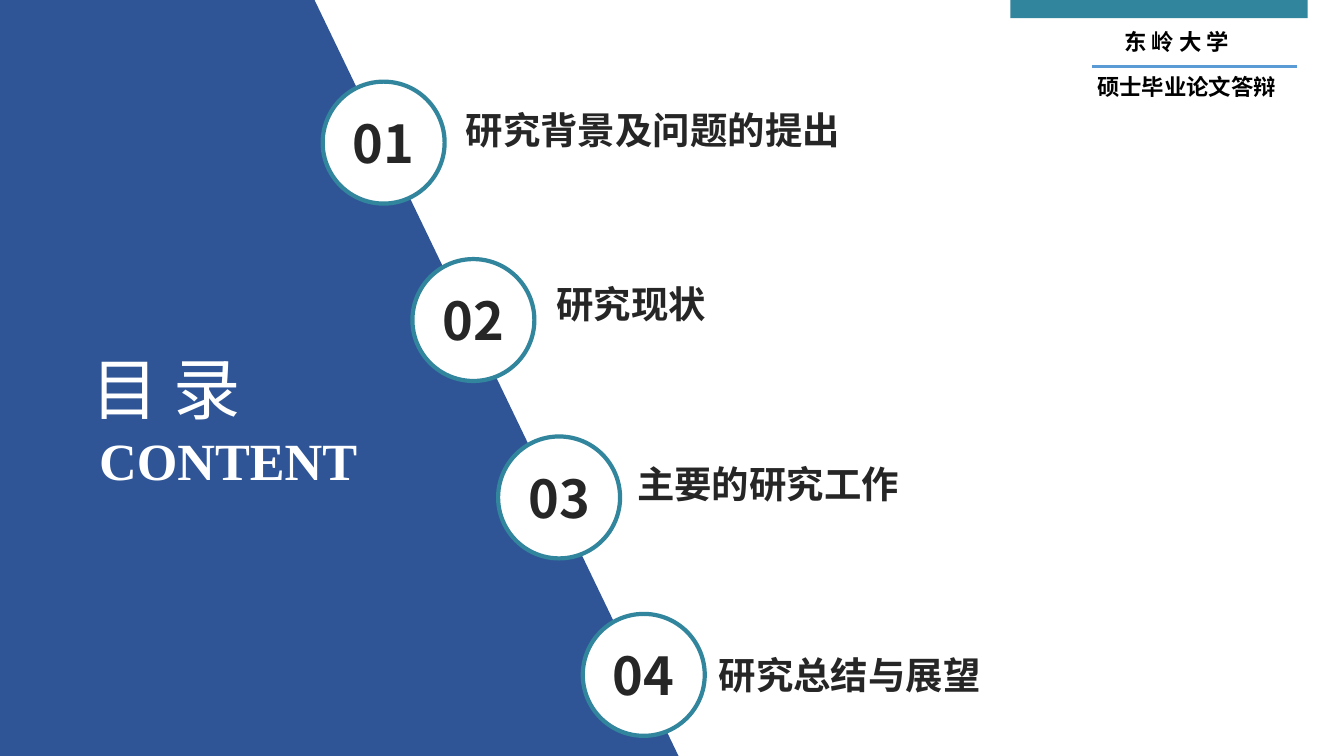
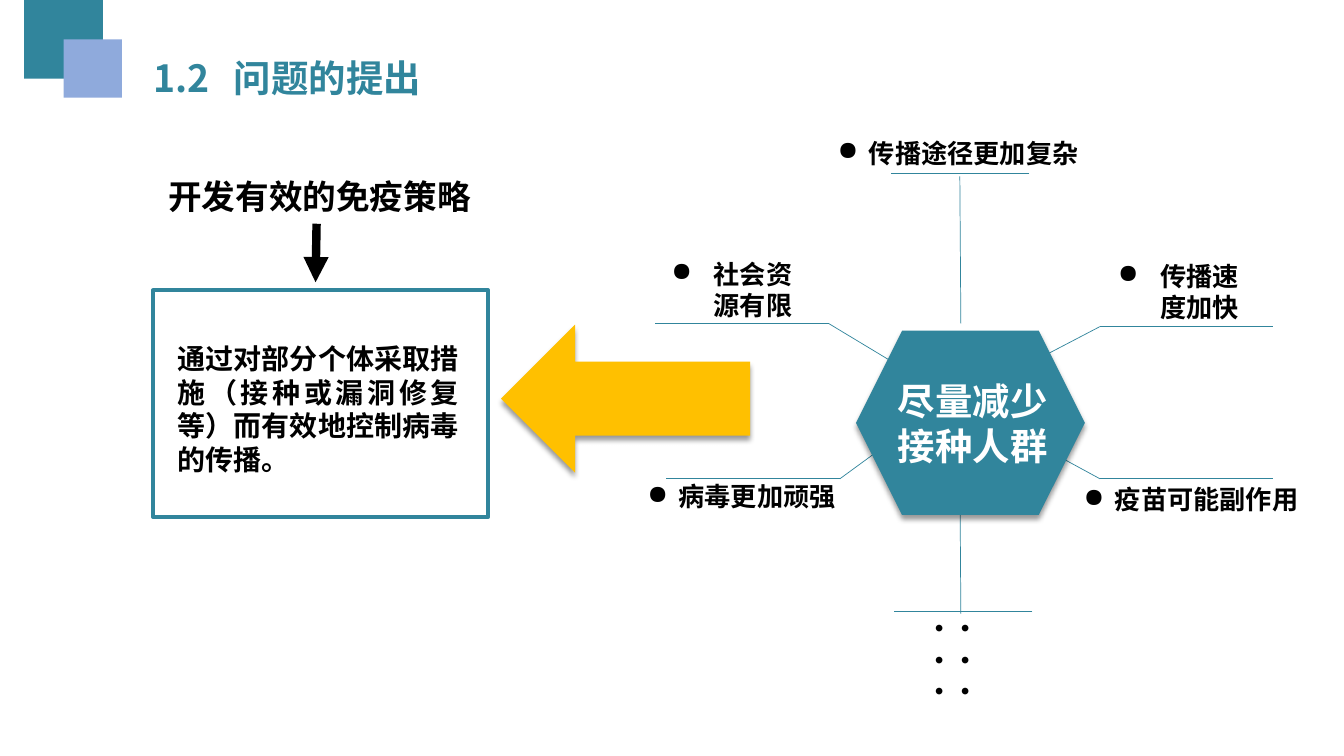
from itertools import pairwise
from lxml.etree import SubElement
from pptx import Presentation
from pptx.dml.color import RGBColor
from pptx.enum.shapes import MSO_CONNECTOR, MSO_SHAPE
from pptx.enum.text import MSO_ANCHOR, MSO_AUTO_SIZE, PP_ALIGN
from pptx.oxml.ns import qn
from pptx.shapes.connector import Connector
from pptx.util import Inches, Pt

TEAL, BLUE, SKY, PALE = "31859C", "2F5597", "5B9BD5", "8FAADC"
GOLD, DARK, BLACK, WHITE = "FFC000", "262626", "000000", "FFFFFF"
SANS, SERIF = "Noto Sans CJK SC", "Times New Roman"
HEAD = "Noto Sans CJK JP"


def write(shape, text, size, color=BLACK, font=SANS, bold=True,
          align=PP_ALIGN.LEFT, anchor=MSO_ANCHOR.TOP, wrap=True,
          pads=(0.1, 0.05, 0.1, 0.05), hang=0, tab=0):
    """Fill a shape with one paragraph; hang sets a bullet, tab a tab stop."""
    frame = shape.text_frame
    frame.word_wrap = wrap
    frame.auto_size = MSO_AUTO_SIZE.NONE
    frame.vertical_anchor = anchor
    (frame.margin_left, frame.margin_top,
     frame.margin_right, frame.margin_bottom) = map(Inches, pads)
    para = frame.paragraphs[0]
    para.alignment = align
    run = para.add_run()
    run.text = text
    run.font.size = Pt(size)
    run.font.bold = bold
    run.font.name = font
    run.font.color.rgb = RGBColor.from_string(color)
    SubElement(run._r.get_or_add_rPr(), qn("a:ea"), typeface=font)
    props = para._p.get_or_add_pPr()
    if hang:
        props.set("marL", str(Inches(hang)))
        props.set("indent", str(-Inches(hang)))
        SubElement(props, qn("a:buChar"), char="●")
    if tab:
        stops = SubElement(props, qn("a:tabLst"))
        SubElement(stops, qn("a:tab"), pos=str(Inches(tab)), algn="l")


def paint(shape, fill=None, line=None, width=1, shadow=False):
    """Set fill, line and shadow of a shape or connector."""
    if line:
        shape.line.color.rgb = RGBColor.from_string(line)
        shape.line.width = Pt(width)
    else:
        shape.line.fill.background()
    if isinstance(shape, Connector):
        SubElement(shape.element.spPr, qn("a:effectLst"))
        return
    if fill:
        shape.fill.solid()
        shape.fill.fore_color.rgb = RGBColor.from_string(fill)
    else:
        shape.fill.background()
    shape.shadow.inherit = False
    if shadow:
        effects = shape.element.spPr.find(qn("a:effectLst"))
        outer = SubElement(effects, qn("a:outerShdw"), blurRad=str(Pt(4)),
                           dist=str(Pt(3)), dir="5400000", rotWithShape="0")
        tint = SubElement(outer, qn("a:srgbClr"), val=BLACK)
        SubElement(tint, qn("a:alpha"), val="40000")


deck = Presentation()
deck.slide_width, deck.slide_height = Inches(13.33), Inches(7.5)
agenda, issue = [deck.slides.add_slide(deck.slide_layouts[5]) for _ in range(2)]

# Titles
for slide, text, box, style in [
    (agenda, "目 录", (0.81, 3.4, 1.75, 0.91),
     dict(size=48, color=WHITE, bold=False, wrap=False)),
    (issue, "1.2\t问题的提出", (1.42, 0.5, 2.94, 0.55),
     dict(size=26.7, color=TEAL, tab=0.8)),
]:
    title = slide.shapes.title
    title.left, title.top, title.width, title.height = map(Inches, box)
    write(title, text, **style)

# Agenda: slanted panel behind the title
shapes = agenda.shapes
outline = shapes.build_freeform(0, 0)
outline.add_line_segments(
    [(Inches(x), Inches(y)) for x, y in [(3.12, 0), (6.73, 7.5), (0, 7.5)]])
panel = outline.convert_to_shape()
paint(panel, BLUE)
shapes.element.insert(2, panel.element)
write(shapes.add_textbox(*map(Inches, (0.81, 4.2, 2.91, 0.73))), "CONTENT",
      37.3, WHITE, SERIF, align=PP_ALIGN.CENTER)

# Agenda: numbered circles down the slant
for i, (left, x, y, text) in enumerate([
    (3.2, 4.52, 1.01, "研究背景及问题的提出"),
    (4.09, 5.42, 2.74, "研究现状"),
    (4.94, 6.22, 4.53, "主要的研究工作"),
    (5.78, 7.03, 6.42, "研究总结与展望"),
]):
    ring = shapes.add_shape(MSO_SHAPE.OVAL, Inches(left), Inches(0.81 + 1.76 * i),
                            Inches(1.21), Inches(1.21))
    paint(ring, WHITE, TEAL, 3)
    write(ring, f"{i + 1:02}", 37.3, DARK, align=PP_ALIGN.CENTER,
          anchor=MSO_ANCHOR.MIDDLE, wrap=False, pads=(0, 0, 0, 0))
    write(shapes.add_textbox(*map(Inches, (x, y, 5, 0.55))), text, 26.7, DARK)

# Agenda: school header
paint(shapes.add_shape(MSO_SHAPE.RECTANGLE,
                       *map(Inches, (10.02, 0, 2.95, 0.18))), TEAL)
paint(shapes.add_connector(MSO_CONNECTOR.STRAIGHT,
                           *map(Inches, (10.83, 0.66, 12.86, 0.66))),
      line=SKY, width=1.5)
for text, box in [("东 岭 大 学", (10.7, 0.23, 1.94, 0.37)),
                  ("硕士毕业论文答辩", (10.65, 0.68, 2.24, 0.37))]:
    write(shapes.add_textbox(*map(Inches, box)), text, 16, font=HEAD,
          align=PP_ALIGN.CENTER)

# Issue: corner squares
shapes = issue.shapes
for x, y, side, color in [(0.24, 0, 0.78, TEAL), (0.63, 0.39, 0.58, PALE)]:
    paint(shapes.add_shape(MSO_SHAPE.RECTANGLE,
                           *map(Inches, (x, y, side, side))), color)

# Issue: leader lines around the hexagon
for path in [
    [(8.85, 3.59), (8.22, 3.21), (6.5, 3.21)],
    [(9.53, 3.21), (9.52, 1.75)],
    [(10.21, 1.72), (8.84, 1.72)],
    [(10.24, 3.59), (10.91, 3.24), (12.63, 3.24)],
    [(8.85, 4.37), (8.33, 4.75), (6.61, 4.75)],
    [(10.21, 4.37), (10.91, 4.75), (12.63, 4.75)],
    [(9.53, 6.09), (9.52, 4.62)],
    [(10.24, 6.07), (8.87, 6.07)],
]:
    for start, end in pairwise(path):
        paint(shapes.add_connector(MSO_CONNECTOR.STRAIGHT,
                                   *map(Inches, start + end)),
              line=TEAL, width=0.5)

hexagon = shapes.add_shape(MSO_SHAPE.HEXAGON,
                           *map(Inches, (8.49, 3.28, 2.27, 1.83)))
paint(hexagon, TEAL, shadow=True)
write(hexagon, "尽量减少接种人群", 26.7, WHITE, align=PP_ALIGN.CENTER,
      anchor=MSO_ANCHOR.MIDDLE, pads=(0.05, 0, 0, 0))

# Issue: reasons
for text, box, style in [
    ("社会资源有限", (6.56, 2.51, 1.6, 0.73), dict(hang=0.42)),
    ("传播途径更加复杂", (8.21, 1.31, 3.19, 0.42), dict(hang=0.31)),
    ("传播速度加快", (10.99, 2.53, 1.6, 0.73), dict(hang=0.42)),
    ("病毒更加顽强", (6.14, 4.72, 2.43, 0.42),
     dict(hang=0.31, align=PP_ALIGN.CENTER)),
    ("疫苗可能副作用", (10.65, 4.75, 2.4, 0.42), dict(hang=0.31)),
    ("······", (9.09, 6.03, 0.91, 1.05), {}),
]:
    write(shapes.add_textbox(*map(Inches, box)), text, 18.7, **style)

# Issue: strategy
paint(shapes.add_shape(MSO_SHAPE.LEFT_ARROW,
                       *map(Inches, (4.97, 3.22, 2.47, 1.47))),
      GOLD, shadow=True)
write(shapes.add_textbox(*map(Inches, (1.57, 1.7, 3.27, 0.52))),
      "开发有效的免疫策略", 24)
plan = shapes.add_shape(MSO_SHAPE.RECTANGLE,
                        *map(Inches, (1.52, 2.88, 3.32, 2.25)))
paint(plan, line=TEAL, width=3)
write(plan, "通过对部分个体采取措施（接种或漏洞修复等）而有效地控制病毒的传播。",
      20, align=PP_ALIGN.JUSTIFY, anchor=MSO_ANCHOR.MIDDLE,
      pads=(0.24, 0.1, 0.29, 0))
arrow = shapes.add_connector(MSO_CONNECTOR.STRAIGHT,
                             *map(Inches, (3.14, 2.22, 3.13, 2.8)))
paint(arrow, line=BLACK, width=6)
SubElement(arrow.line._get_or_add_ln(), qn("a:tailEnd"), type="triangle")

deck.save("out.pptx")
